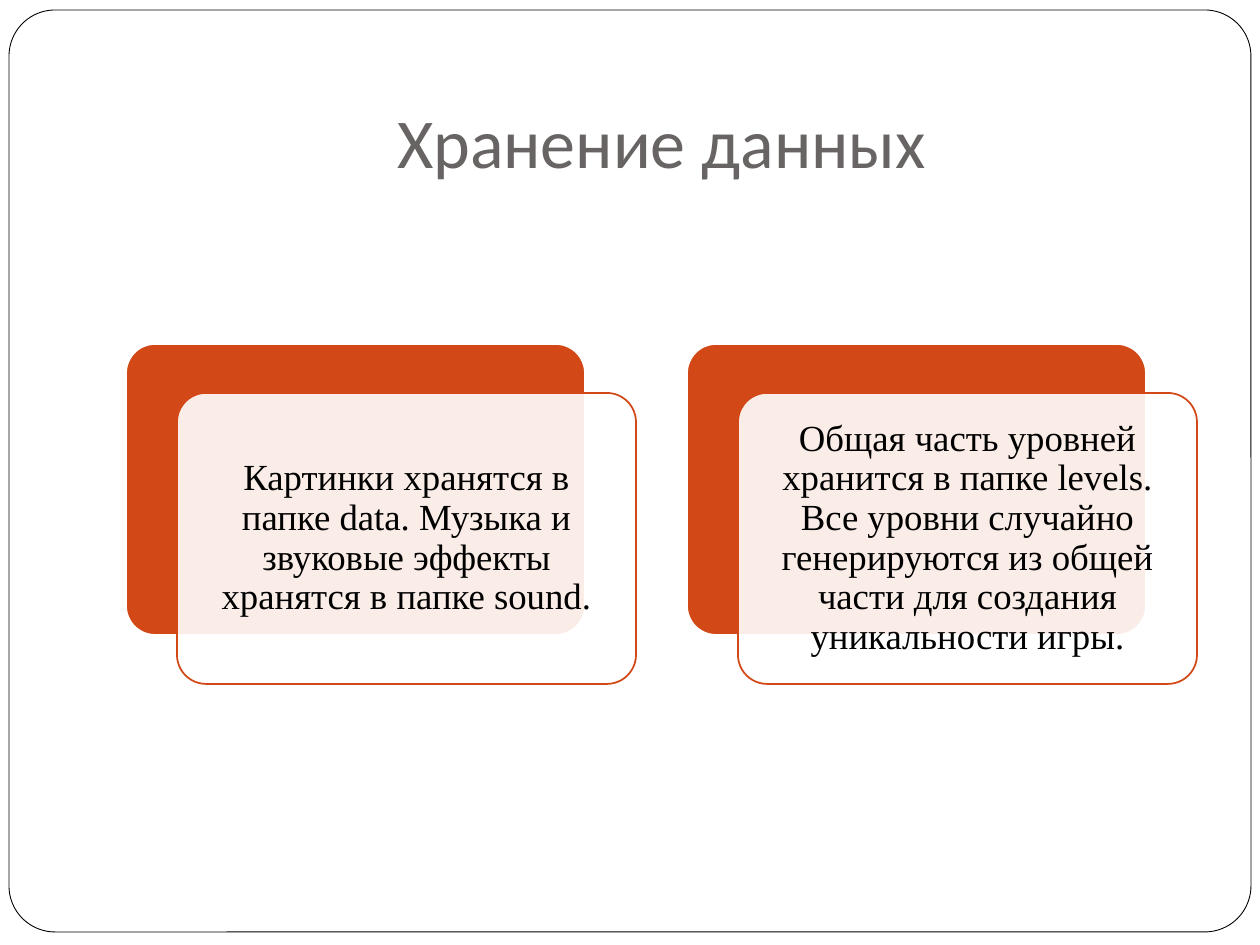
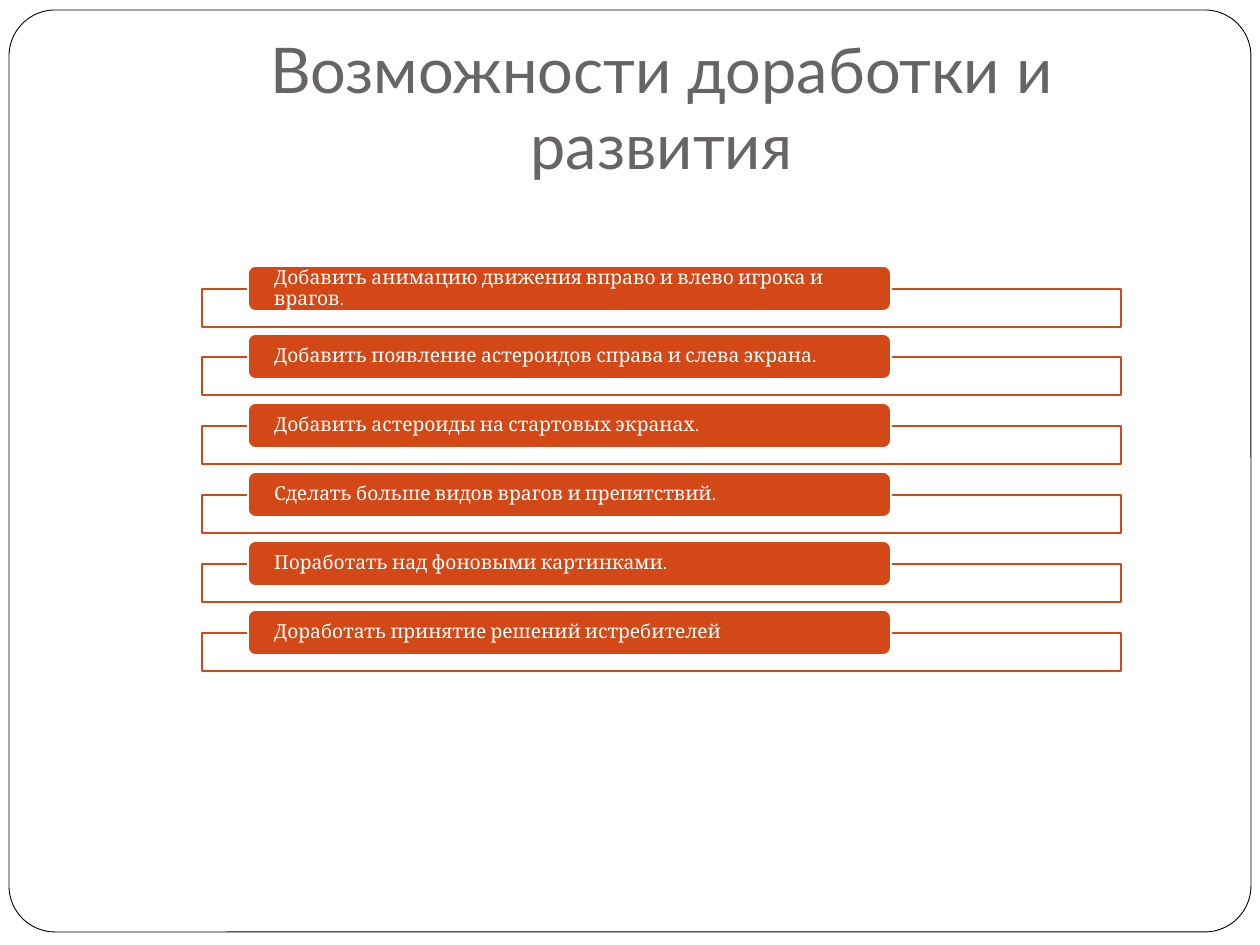
from lxml.etree import SubElement
from pptx import Presentation
from pptx.dml.color import RGBColor
from pptx.enum.shapes import MSO_SHAPE
from pptx.enum.text import MSO_ANCHOR, PP_ALIGN
from pptx.oxml.ns import qn
from pptx.util import Emu, Pt

SCALE = 914400 / 126
WHITE = RGBColor(0xFF, 0xFF, 0xFF)
BLACK = RGBColor(0x00, 0x00, 0x00)
GREY = RGBColor(0x69, 0x64, 0x64)
RUST = RGBColor(0xD3, 0x48, 0x17)
ROUND = MSO_SHAPE.ROUNDED_RECTANGLE
RECT = MSO_SHAPE.RECTANGLE

CARDS = [
    "Картинки хранятся в папке data. Музыка и звуковые эффекты хранятся в папке sound.",
    "Общая часть уровней хранится в папке levels. Все уровни случайно "
    "генерируются из общей части для создания уникальности игры.",
]
IDEAS = [
    "Добавить анимацию движения вправо и влево игрока и врагов.",
    "Добавить появление астероидов справа и слева экрана.",
    "Добавить астероиды на стартовых экранах.",
    "Сделать больше видов врагов и препятствий.",
    "Поработать над фоновыми картинками.",
    "Доработать принятие решений истребителей",
]


def px(num):
    return Emu(round(num * SCALE))


def add_box(slide, kind, area, fill, line, width=1, curve=None, alpha=None):
    box = slide.shapes.add_shape(kind, *map(px, area))
    box.shadow.inherit = False
    box.fill.solid()
    box.fill.fore_color.rgb = fill
    box.line.color.rgb = line
    box.line.width = Pt(width)
    if curve is not None:
        box.adjustments[0] = curve
    if alpha is not None:
        tint = box.fill._xPr.find(qn("a:solidFill"))[0]
        SubElement(tint, qn("a:alpha"), val=str(alpha * 1000))
    return box


def set_text(box, text, font, size, color, align, pads, anchor=MSO_ANCHOR.MIDDLE, lead=None):
    frame = box.text_frame
    frame.text = text
    frame.word_wrap = True
    frame.vertical_anchor = anchor
    frame.margin_left = frame.margin_right = px(pads[0])
    frame.margin_top, frame.margin_bottom = px(pads[1]), px(pads[2])
    para = frame.paragraphs[0]
    para.alignment = align
    para.line_spacing = lead
    style = para.runs[0].font
    style.name, style.size = font, Pt(size)
    style.color.rgb = color


def add_page(deck, title, font, size):
    slide = deck.slides.add_slide(deck.slide_layouts[6])
    add_box(slide, ROUND, (9, 10, 1242, 922), WHITE, BLACK, 0.5, 0.05)
    head = slide.shapes.add_textbox(*map(px, (126, 38, 1071, 157)))
    set_text(head, title, font, size, GREY, PP_ALIGN.CENTER, (13, 6, 13), MSO_ANCHOR.BOTTOM)
    return slide


def add_card(slide, left, text):
    top, wide, high = 344, 459, 291
    add_box(slide, ROUND, (left, top, wide, high), RUST, WHITE, curve=0.1)
    front = add_box(slide, ROUND, (left + 51, top + 49, wide, high), WHITE, RUST, curve=0.1, alpha=90)
    set_text(front, text, "Times New Roman", 21, BLACK, PP_ALIGN.CENTER, (11, 11, 11), lead=0.9)


def add_idea(slide, top, text):
    add_box(slide, RECT, (202, top + 23, 919, 38), WHITE, RUST, alpha=90)
    label = add_box(slide, ROUND, (248, top, 643, 45), RUST, WHITE)
    set_text(label, text, "Cambria", 11, WHITE, PP_ALIGN.LEFT, (24, 0, 0), lead=0.9)


def main():
    """Build the two slides and save them."""
    deck = Presentation()
    deck.slide_width, deck.slide_height = px(1260), px(945)

    store = add_page(deck, "Хранение данных", "Calibri", 40)
    for num, text in enumerate(CARDS):
        add_card(store, 126 + 561 * num, text)

    plans = add_page(deck, "Возможности доработки и развития", "Lato", 36)
    span = 344
    for num, text in enumerate(IDEAS):
        add_idea(plans, 266 + span * num // (len(IDEAS) - 1), text)

    deck.save("out.pptx")


if __name__ == "__main__":
    main()
